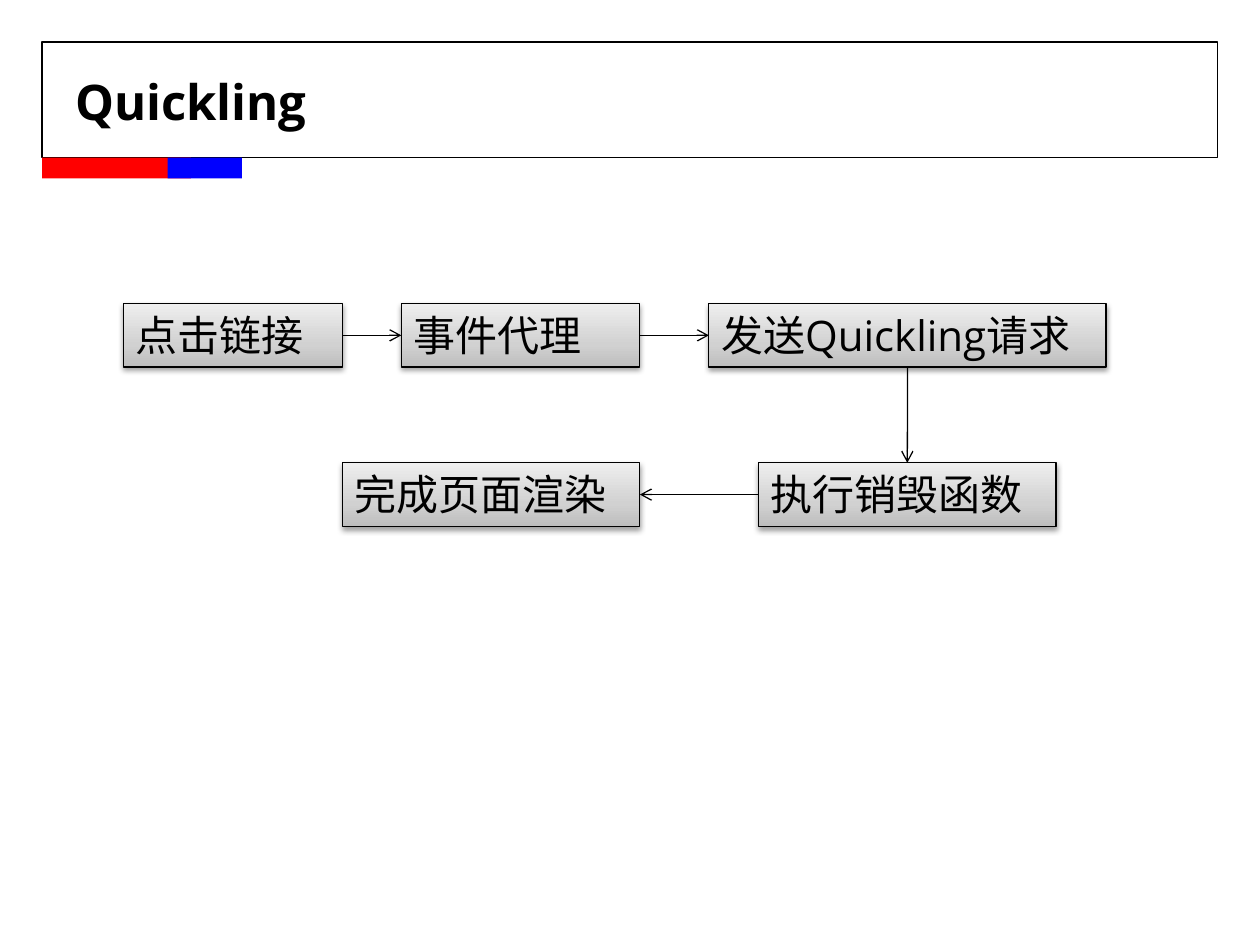
from copy import deepcopy

from lxml import etree
from pptx import Presentation
from pptx.dml.color import RGBColor
from pptx.enum.shapes import MSO_CONNECTOR, MSO_SHAPE
from pptx.enum.text import MSO_ANCHOR, MSO_AUTO_SIZE, PP_ALIGN
from pptx.oxml.ns import qn
from pptx.util import Cm, Pt

RECTANGLE = MSO_SHAPE.RECTANGLE
STRAIGHT = MSO_CONNECTOR.STRAIGHT
MIDDLE, LEFT_ALIGNED = MSO_ANCHOR.MIDDLE, PP_ALIGN.LEFT
GROW = MSO_AUTO_SIZE.SHAPE_TO_FIT_TEXT

FONT = "Open Sans"
BLACK, RED, BLUE = "000000", "FF0000", "0000FF"
STEP_DARK, STEP_MID, STEP_LIGHT = "BDBDBD", "D1D1D1", "EEEEEE"
TOP, LEFT, BOTTOM, RIGHT = range(4)  # connection sites of a rectangle

ROW_TOPS = (6.12, 9.33)
STEP_HEIGHT = 1.28
# text, row, left, width in the order of the flow
STEPS = (
    ("点击链接", 0, 2.49, 4.41),
    ("事件代理", 0, 8.09, 4.81),
    ("发送Quickling请求", 0, 14.29, 8.01),
    ("执行销毁函数", 1, 15.29, 6),
    ("完成页面渲染", 1, 6.9, 6),
)
# exit and entry site of each link between neighbouring steps
LINKS = ((RIGHT, LEFT), (RIGHT, LEFT), (BOTTOM, TOP), (LEFT, RIGHT))


def color(hex_value):
    return RGBColor.from_string(hex_value)


def outline(line):
    line.color.rgb = color(BLACK)
    line.width = Pt(0.75)


def add_bar(slide, left, top, width, height, fill=None):
    bar = slide.shapes.add_shape(RECTANGLE, Cm(left), Cm(top), Cm(width), Cm(height))
    bar.shadow.inherit = False
    if fill:
        bar.fill.solid()
        bar.fill.fore_color.rgb = color(fill)
        bar.line.fill.background()
    else:
        bar.fill.background()
        outline(bar.line)
    return bar


def write(frame, text, size, bold=False):
    frame.word_wrap = True
    paragraph = frame.paragraphs[0]
    paragraph.text = text
    paragraph.alignment = LEFT_ALIGNED
    paragraph.font.name = FONT
    paragraph.font.size = Pt(size)
    paragraph.font.bold = bold
    paragraph.font.color.rgb = color(BLACK)


def add_title(slide, text):
    title = slide.shapes.add_textbox(Cm(1.27), Cm(0.95), Cm(22.86), Cm(2.16))
    write(title.text_frame, text, 28, bold=True)
    title.text_frame.vertical_anchor = MIDDLE


def shade(step):
    step.fill.gradient()
    step.fill.gradient_angle = 90
    first, last = step.fill.gradient_stops
    first.color.rgb, last.color.rgb = color(STEP_DARK), color(STEP_LIGHT)
    # Middle stop
    stops = step.element.spPr.find(".//" + qn("a:gsLst"))
    middle = deepcopy(stops[0])
    middle.set("pos", "35000")
    middle.find(qn("a:srgbClr")).set("val", STEP_MID)
    stops.insert(1, middle)


def cast_shadow(step):
    effects = step.element.spPr.find(qn("a:effectLst"))
    shadow = etree.SubElement(effects, qn("a:outerShdw"), blurRad="40000",
                              dist="20000", dir="5400000", rotWithShape="0")
    tint = etree.SubElement(shadow, qn("a:srgbClr"), val=BLACK)
    etree.SubElement(tint, qn("a:alpha"), val="38000")


def add_step(slide, text, row, left, width):
    step = add_bar(slide, left, ROW_TOPS[row], width, STEP_HEIGHT)
    shade(step)
    cast_shadow(step)
    write(step.text_frame, text, 24)
    step.text_frame.vertical_anchor = MSO_ANCHOR.TOP
    step.text_frame.auto_size = GROW
    return step


def add_link(slide, source, target, exit_site, entry_site):
    link = slide.shapes.add_connector(STRAIGHT, 0, 0, 0, 0)
    link.begin_connect(source, exit_site)
    link.end_connect(target, entry_site)
    outline(link.line)
    properties = link.element.spPr
    etree.SubElement(properties.find(qn("a:ln")), qn("a:tailEnd"), type="arrow")
    etree.SubElement(properties, qn("a:effectLst"))


def main():
    deck = Presentation()
    deck.slide_width, deck.slide_height = Cm(25.4), Cm(19.05)
    slide = deck.slides.add_slide(deck.slide_layouts[6])

    # Heading
    add_bar(slide, 0.85, 0.85, 23.7, 2.33)
    add_bar(slide, 0.85, 3.18, 3, 0.42, RED)
    add_bar(slide, 3.38, 3.18, 1.5, 0.42, BLUE)
    add_title(slide, "Quickling")

    # Flow of steps
    steps = [add_step(slide, *step) for step in STEPS]
    for source, target, sites in zip(steps, steps[1:], LINKS):
        add_link(slide, source, target, *sites)

    deck.save("out.pptx")


main()
